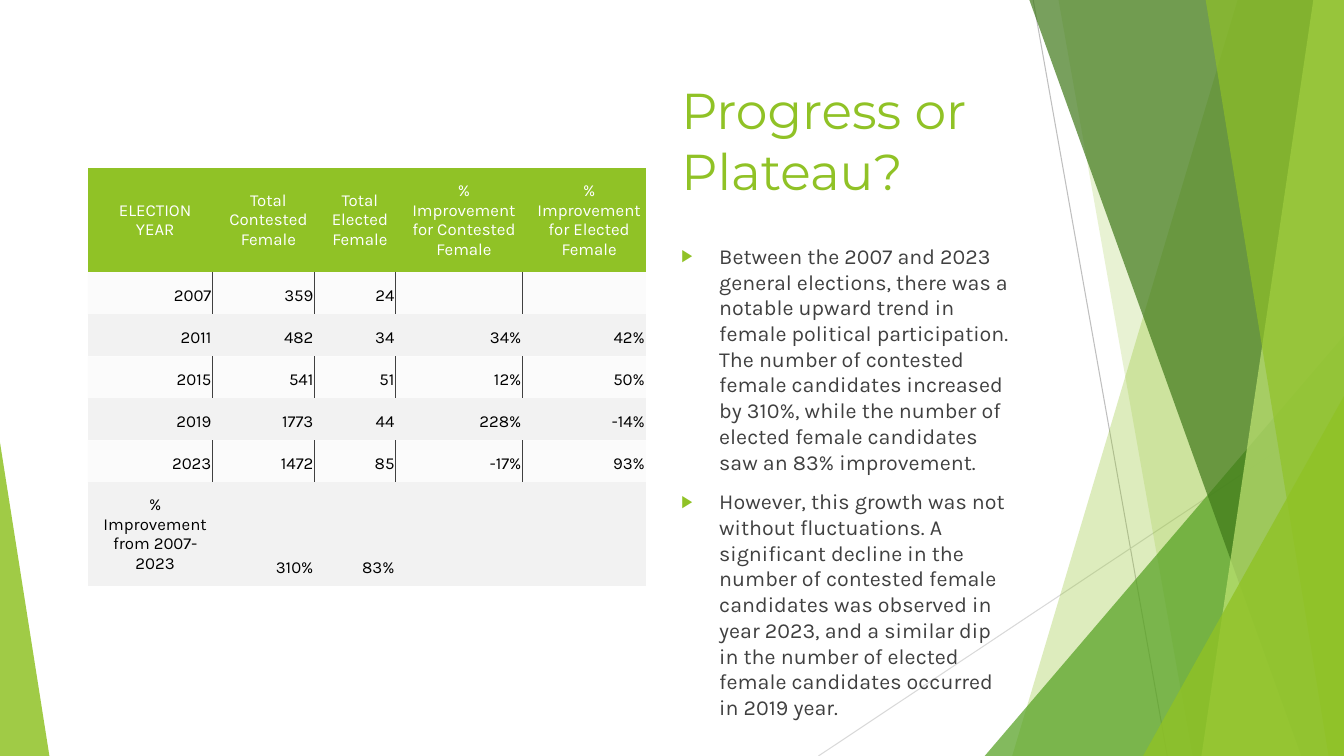
from dataclasses import dataclass
from typing import NamedTuple

from lxml.etree import SubElement
from pptx import Presentation
from pptx.dml.color import RGBColor
from pptx.enum.shapes import MSO_CONNECTOR as Connector, MSO_SHAPE as Preset
from pptx.enum.text import MSO_ANCHOR as Anchor, MSO_AUTO_SIZE as AutoSize, PP_ALIGN as Align
from pptx.oxml.ns import qn
from pptx.util import Pt

PAGE_WIDTH, PAGE_HEIGHT = 960, 540


@dataclass(frozen=True)
class Theme:
    lime: str = "90C226"
    green: str = "54A021"
    forest: str = "3F7819"
    pale: str = "C0E474"
    band: str = "F2F2F2"
    ink: str = "404040"
    black: str = "000000"
    white: str = "FFFFFF"
    heading_font: str = "Montserrat"
    body_font: str = "Karla"
    title_size: float = 36
    body_size: float = 15.3
    table_size: float = 12


THEME = Theme()


class Thread(NamedTuple):
    """A thin line behind the content."""
    x1: float
    y1: float
    x2: float
    y2: float
    color: str


class Blade(NamedTuple):
    """A slanted panel that reaches the right edge of the page."""
    top_x: float
    bottom_x: float
    color: str
    opacity: int


class Wedge(NamedTuple):
    """A right triangle standing on the bottom edge; peak is 0 (left) or 1 (right)."""
    left: float
    width: float
    height: float
    peak: float
    color: str
    opacity: int


THREADS = [Thread(738, 0, 833.8, 540, "BFBFBF"), Thread(960, 290.2, 584.6, 540, "D9D9D9")]
DECORATIONS = [
    Blade(884.2, 723, THEME.lime, 30),
    Blade(756, 851.8, THEME.lime, 20),
    Wedge(703.4, 256.6, 300.2, 1, THEME.green, 72),
    Blade(735.1, 929.5, THEME.forest, 70),
    Blade(938.2, 858.2, THEME.pale, 70),
    Blade(861.1, 949, THEME.lime, 65),
    Wedge(816.5, 143.5, 257, 1, THEME.lime, 80),
    Wedge(0, 35.3, 223.9, 0, THEME.lime, 85),
]

TITLE = "Progress or Plateau?"
POINTS = [
    "Between the 2007 and 2023 general elections, there was a notable upward trend in "
    "female political participation. The number of contested female candidates increased "
    "by 310%, while the number of elected female candidates saw an 83% improvement.",
    "However, this growth was not without fluctuations. A significant decline in the number "
    "of contested female candidates was observed in year 2023, and a similar dip in the "
    "number of elected female candidates occurred in 2019 year.",
]

COLUMN_WIDTHS = [88.9, 72.9, 57.9, 90.7, 88.2]
ROW_HEIGHTS = [74.4, 30, 30, 30, 30, 30, 74.4]
ROWS = [
    ["ELECTION YEAR", "Total Contested Female", "Total Elected Female",
     "% Improvement for Contested Female", "% Improvement for Elected Female"],
    ["2007", "359", "24", "", ""],
    ["2011", "482", "34", "34%", "42%"],
    ["2015", "541", "51", "12%", "50%"],
    ["2019", "1773", "44", "228%", "-14%"],
    ["2023", "1472", "85", "-17%", "93%"],
    ["% Improvement from 2007-2023", "310%", "83%", "", ""],
]
NO_STYLE = "{2D5ABB26-0587-4C30-8999-92F81FD0307C}"


def write_text(para, text: str, *, size: float, font: str, color: str, align=Align.LEFT) -> None:
    para.alignment = align
    span = para.add_run()
    span.text = text
    span.font.size = Pt(size)
    span.font.name = font
    span.font.color.rgb = RGBColor.from_string(color)


def paint(fill, properties, color: str, opacity: int = 100) -> None:
    """Give a solid fill; properties is the XML element that holds it."""
    fill.solid()
    fill.fore_color.rgb = RGBColor.from_string(color)
    if opacity < 100:
        shade = properties.find(qn("a:solidFill"))[0]
        SubElement(shade, qn("a:alpha"), val=str(opacity * 1000))


def draw_thread(page, thread: Thread) -> None:
    line = page.shapes.add_connector(
        Connector.STRAIGHT, Pt(thread.x1), Pt(thread.y1), Pt(thread.x2), Pt(thread.y2))
    line.line.color.rgb = RGBColor.from_string(thread.color)
    line.line.width = Pt(0.75)
    SubElement(line.element.spPr, qn("a:effectLst"))


def draw_decoration(page, item: Blade | Wedge) -> None:
    if isinstance(item, Blade):
        builder = page.shapes.build_freeform(Pt(item.top_x), Pt(-0.6))
        corners = [(PAGE_WIDTH, -0.6), (PAGE_WIDTH, PAGE_HEIGHT), (item.bottom_x, PAGE_HEIGHT)]
        builder.add_line_segments([(Pt(x), Pt(y)) for x, y in corners], close=True)
        shape = builder.convert_to_shape()
    else:
        shape = page.shapes.add_shape(
            Preset.ISOSCELES_TRIANGLE, Pt(item.left), Pt(PAGE_HEIGHT - item.height),
            Pt(item.width), Pt(item.height))
        shape.adjustments[0] = item.peak
    shape.shadow.inherit = False
    shape.line.fill.background()
    paint(shape.fill, shape.element.spPr, item.color, item.opacity)


def place(page, box, left: float, top: float, width: float, height: float, anchor):
    """Move a placeholder in front of the decorations and return its text frame."""
    page.shapes.element.append(box.element)
    box.left, box.top, box.width, box.height = Pt(left), Pt(top), Pt(width), Pt(height)
    frame = box.text_frame
    frame.word_wrap = True
    frame.auto_size = AutoSize.NONE
    frame.vertical_anchor = anchor
    return frame


def add_arrow_bullet(para) -> None:
    para.space_before = Pt(10)
    properties = para._p.get_or_add_pPr()
    properties.set("marL", str(Pt(27)))
    properties.set("indent", str(Pt(-27)))
    SubElement(SubElement(properties, qn("a:buClr")), qn("a:srgbClr"), val=THEME.lime)
    SubElement(properties, qn("a:buSzPct"), val="80000")
    SubElement(properties, qn("a:buFont"), typeface="Arial")
    SubElement(properties, qn("a:buChar"), char="▶")


def add_side_border(properties, side: str) -> None:
    border = SubElement(properties, qn(f"a:ln{side}"), w=str(Pt(0.5)))
    SubElement(SubElement(border, qn("a:solidFill")), qn("a:srgbClr"), val=THEME.ink)


def format_cell(cell, text: str, row: int, column: int) -> None:
    header, light = row == 0, row % 2 == 1
    properties = cell._tc.get_or_add_tcPr()
    if light:
        if column > 0:
            add_side_border(properties, "L")
        if column < len(COLUMN_WIDTHS) - 1:
            add_side_border(properties, "R")
    paint(cell.fill, properties, THEME.lime if header else THEME.band, 30 if light else 100)
    if not text:
        return
    centred = header or (row == len(ROWS) - 1 and column == 0)
    cell.margin_left, cell.margin_right = Pt(7.9), Pt(0.7)
    cell.margin_top = cell.margin_bottom = Pt(6.5)
    cell.vertical_anchor = Anchor.MIDDLE if centred else Anchor.BOTTOM
    write_text(cell.text_frame.paragraphs[0], text, size=THEME.table_size, font=THEME.body_font,
               color=THEME.white if header else THEME.black,
               align=Align.CENTER if centred else Align.RIGHT)


def draw_election_table(page) -> None:
    frame = page.shapes.add_table(len(ROWS), len(COLUMN_WIDTHS), Pt(62.8), Pt(120.2),
                                  Pt(sum(COLUMN_WIDTHS)), Pt(sum(ROW_HEIGHTS)))
    table = frame.table
    table.first_row = table.horz_banding = False
    next(frame.element.iter(qn("a:tableStyleId"))).text = NO_STYLE
    for column, width in zip(table.columns, COLUMN_WIDTHS):
        column.width = Pt(width)
    for r, (texts, height) in enumerate(zip(ROWS, ROW_HEIGHTS)):
        table.rows[r].height = Pt(height)
        for c, text in enumerate(texts):
            format_cell(table.cell(r, c), text, r, c)


def main() -> None:
    deck = Presentation()
    deck.slide_width, deck.slide_height = Pt(PAGE_WIDTH), Pt(PAGE_HEIGHT)
    page = deck.slides.add_slide(deck.slide_layouts[1])
    for thread in THREADS:
        draw_thread(page, thread)
    for item in DECORATIONS:
        draw_decoration(page, item)

    title = place(page, page.shapes.title, 479.5, 48.2, 250.6, 103.7, Anchor.MIDDLE)
    write_text(title.paragraphs[0], TITLE, size=THEME.title_size, font=THEME.heading_font,
               color=THEME.lime)
    body = place(page, page.placeholders[1], 479.5, 169.9, 249.8, 305.3, Anchor.TOP)
    for index, point in enumerate(POINTS):
        para = body.add_paragraph() if index else body.paragraphs[0]
        add_arrow_bullet(para)
        write_text(para, point, size=THEME.body_size, font=THEME.body_font, color=THEME.ink)

    draw_election_table(page)
    deck.save("out.pptx")


if __name__ == "__main__":
    main()
